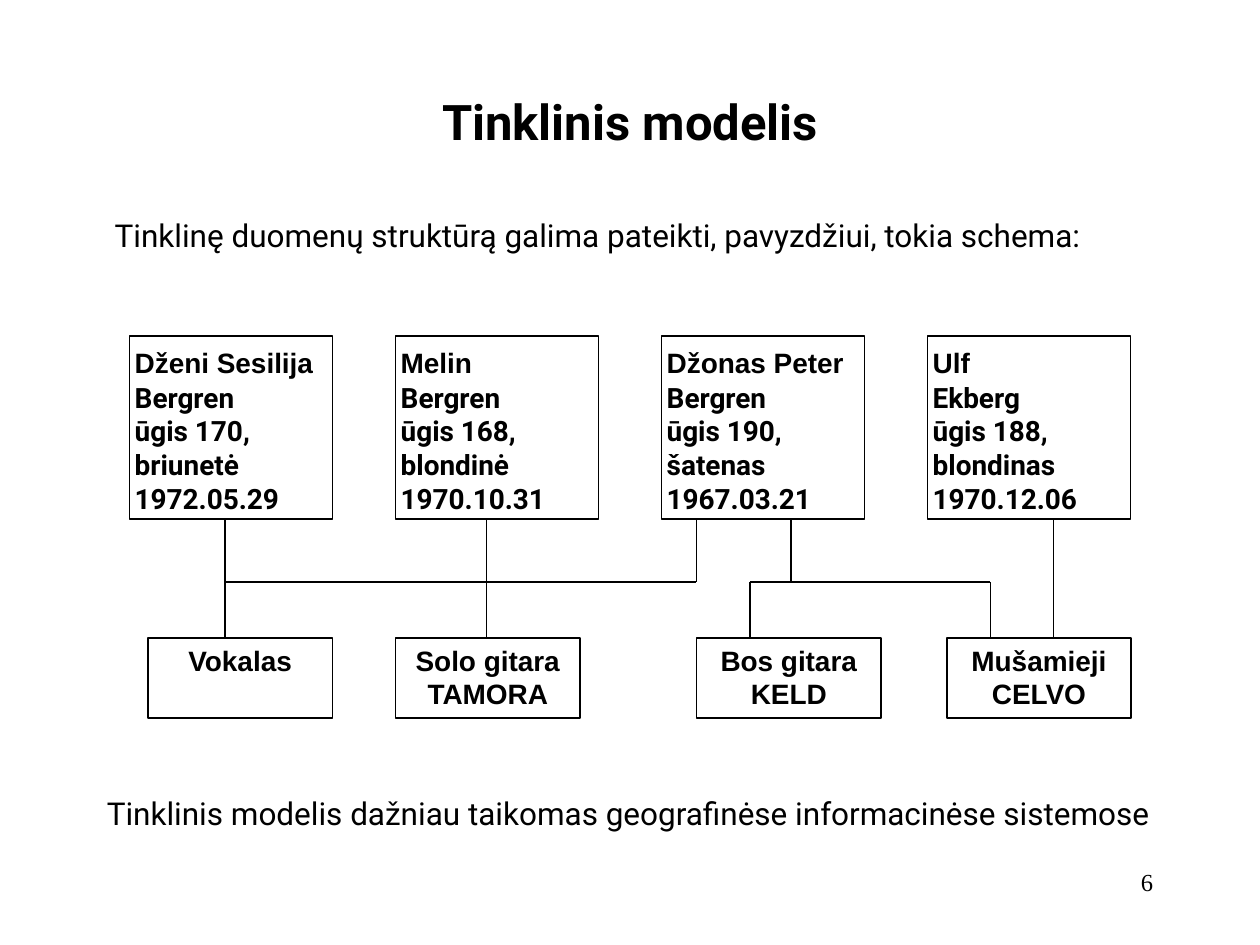
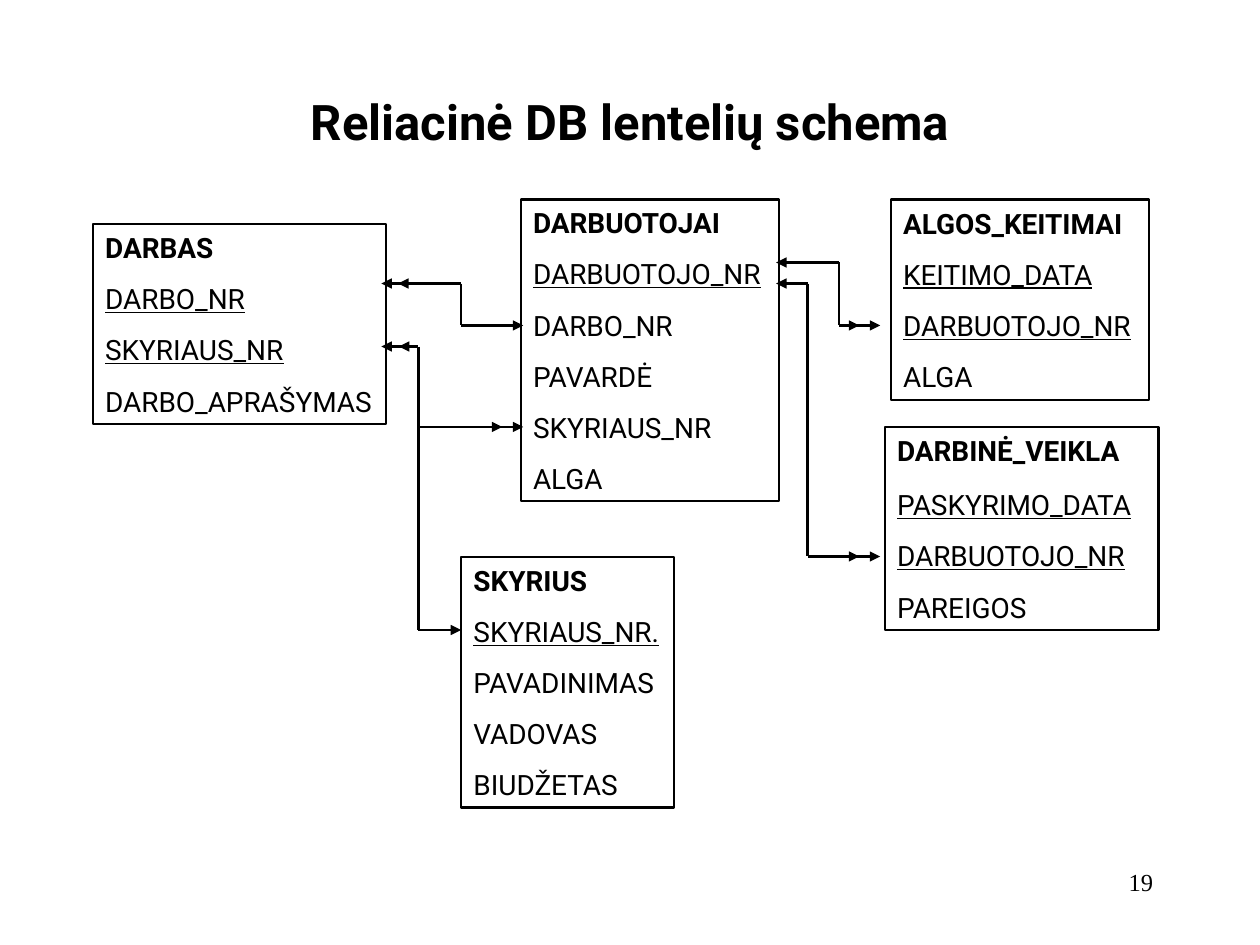
from itertools import pairwise

from lxml.etree import SubElement
from pptx import Presentation
from pptx.dml.color import RGBColor
from pptx.enum.shapes import MSO_CONNECTOR, MSO_SHAPE
from pptx.enum.text import MSO_ANCHOR, PP_ALIGN
from pptx.oxml.ns import qn
from pptx.util import Pt

INK = "000000"
FONT, LABEL_FONT, NUMBER_FONT = "Roboto", "Arial", "Times New Roman"
INSETS = (7.2, 3.6, 0, 3.6)

# Network model
INTRO = "Tinklinę duomenų struktūrą galima pateikti, pavyzdžiui, tokia schema:"
CLOSING = "Tinklinis modelis dažniau taikomas geografinėse informacinėse sistemose"
PEOPLE = [
    ["Dženi Sesilija", "Bergren", "ūgis 170,", "briunetė", "1972.05.29"],
    ["Melin", "Bergren", "ūgis 168,", "blondinė", "1970.10.31"],
    ["Džonas Peter", "Bergren", "ūgis 190,", "šatenas", "1967.03.21"],
    ["Ulf", "Ekberg", "ūgis 188,", "blondinas", "1970.12.06"],
]
ROLES = [
    (84.5, ["Vokalas"]),
    (226, ["Solo gitara", "TAMORA"]),
    (398, ["Bos gitara", "KELD"]),
    (541, ["Mušamieji", "CELVO"]),
]
PEOPLE_LEFT, PEOPLE_STEP = 74, 152
PEOPLE_TOP, PEOPLE_BOTTOM, BUS, ROLES_TOP = 192, 296.5, 332.5, 364.5
NETWORK = [
    [(128.5, PEOPLE_BOTTOM), (128.5, ROLES_TOP)],
    [(278, PEOPLE_BOTTOM), (278, ROLES_TOP)],
    [(128.5, BUS), (398, BUS), (398, PEOPLE_BOTTOM)],
    [(602, PEOPLE_BOTTOM), (602, ROLES_TOP)],
    [(428.5, ROLES_TOP), (428.5, BUS), (566, BUS), (566, ROLES_TOP)],
    [(452, PEOPLE_BOTTOM), (452, BUS)],
]

# Relational schema: box, name, key columns, other columns in display order
TABLES = [
    ((263.5, 318.5, 121.5, 143), "SKYRIUS", {"SKYRIAUS_NR."},
     ["SKYRIAUS_NR.", "PAVADINIMAS", "VADOVAS", "BIUDŽETAS"]),
    ((297.5, 114, 147.5, 172.5), "DARBUOTOJAI", {"DARBUOTOJO_NR"},
     ["DARBUOTOJO_NR", "DARBO_NR", "PAVARDĖ", "SKYRIAUS_NR", "ALGA"]),
    ((53, 128, 167.5, 114.5), "DARBAS", {"DARBO_NR", "SKYRIAUS_NR"},
     ["DARBO_NR", "SKYRIAUS_NR", "DARBO_APRAŠYMAS"]),
    ((505.5, 244, 156.5, 116), "DARBINĖ_VEIKLA",
     {"PASKYRIMO_DATA", "DARBUOTOJO_NR"},
     ["PASKYRIMO_DATA", "DARBUOTOJO_NR", "PAREIGOS"]),
    ((509, 114, 147.5, 114.5), "ALGOS_KEITIMAI",
     {"KEITIMO_DATA", "DARBUOTOJO_NR"},
     ["KEITIMO_DATA", "DARBUOTOJO_NR", "ALGA"]),
]
TWO_WAY = [
    [(218, 162), (263.5, 162), (263.5, 186), (299, 186)],
    [(218, 198), (239, 198), (239, 360), (263.5, 360)],
    [(443.5, 150), (479.5, 150), (479.5, 186), (503, 186)],
    [(443.5, 162), (461.5, 162), (461.5, 318), (503, 318)],
]
ONE_WAY = [
    [(239, 244), (299, 244)],
    # second arrowheads on the "many" ends
    [(239, 162), (227.5, 162)],
    [(239, 198), (228, 198)],
    [(275, 244), (287, 244)],
    [(479.5, 186), (491, 186)],
    [(479.5, 318), (491, 318)],
]


def rgb(value):
    return RGBColor.from_string(value)


def pts(values):
    return [Pt(v) for v in values]


def style(p, size, font=FONT, bold=False, align=PP_ALIGN.LEFT):
    p.alignment = align
    for r in p.runs:
        r.font.size, r.font.name, r.font.bold = Pt(size), font, bold
        r.font.color.rgb = rgb(INK)


def fill_frame(tf, lines, insets=INSETS, anchor=MSO_ANCHOR.TOP):
    """Put one paragraph per line into the frame and return the paragraphs."""
    tf.word_wrap = True
    tf.vertical_anchor = anchor
    tf.margin_left, tf.margin_top, tf.margin_right, tf.margin_bottom = pts(insets)
    tf.text = "\n".join(lines)
    return tf.paragraphs


def add_text(slide, box, text, size, anchor=MSO_ANCHOR.TOP, insets=INSETS, **look):
    sp = slide.shapes.add_textbox(*pts(box))
    style(fill_frame(sp.text_frame, [text], insets, anchor)[0], size, **look)


def add_box(slide, box, lines, width, **frame):
    sp = slide.shapes.add_shape(MSO_SHAPE.RECTANGLE, *pts(box))
    sp.shadow.inherit = False
    sp.fill.background()
    sp.line.color.rgb = rgb(INK)
    sp.line.width = Pt(width)
    return fill_frame(sp.text_frame, lines, **frame)


def add_route(slide, points, width, start=False, end=False):
    """Draw straight segments through the points, with arrowheads on request."""
    legs = list(pairwise(points))
    for i, (a, b) in enumerate(legs):
        line = slide.shapes.add_connector(MSO_CONNECTOR.STRAIGHT, *pts(a + b))
        line.line.color.rgb = rgb(INK)
        line.line.width = Pt(width)
        ln = line.line._get_or_add_ln()
        if start and i == 0:
            SubElement(ln, qn("a:headEnd"), type="triangle")
        if end and i == len(legs) - 1:
            SubElement(ln, qn("a:tailEnd"), type="triangle")
        SubElement(ln.getparent(), qn("a:effectLst"))


def new_slide(prs, title, title_box, number):
    slide = prs.slides.add_slide(prs.slide_layouts[5])
    sp = slide.shapes.title
    sp.left, sp.top, sp.width, sp.height = pts(title_box)
    p = fill_frame(sp.text_frame, [title], (7.2, 3.6, 7.2, 3.6), MSO_ANCHOR.MIDDLE)[0]
    style(p, 28, bold=True, align=PP_ALIGN.CENTER)
    add_text(slide, (516, 492, 150, 36), number, 14, insets=(7.2, 3.6, 7.2, 3.6),
             font=NUMBER_FONT, align=PP_ALIGN.RIGHT)
    return slide


def build_network(prs):
    slide = new_slide(prs, "Tinklinis modelis", (118, 48, 484, 42.5), "6")
    add_text(slide, (58.5, 120, 604, 29), INTRO, 18, MSO_ANCHOR.MIDDLE)
    for i, lines in enumerate(PEOPLE):
        box = (PEOPLE_LEFT + i * PEOPLE_STEP, PEOPLE_TOP, 116,
               PEOPLE_BOTTOM - PEOPLE_TOP)
        first, *rest = add_box(slide, box, lines, 1, insets=(3, 5.5, 3, 3))
        style(first, 16, LABEL_FONT, bold=True)
        first.space_after = Pt(0.7)
        for p in rest:
            style(p, 16, bold=True)
    for left, lines in ROLES:
        for p in add_box(slide, (left, ROLES_TOP, 105.5, 46), lines, 1,
                         insets=(3, 3, 3, 3)):
            style(p, 16, LABEL_FONT, bold=True, align=PP_ALIGN.CENTER)
    for points in NETWORK:
        add_route(slide, points, 1)
    add_text(slide, (54, 450, 612, 50), CLOSING, 18)


def build_schema(prs):
    slide = new_slide(prs, "Reliacinė DB lentelių schema", (119.5, 42, 481, 54.5), "19")
    for box, name, keys, columns in TABLES:
        head, *rows = add_box(slide, box, [name, *columns], 1.25,
                              anchor=MSO_ANCHOR.MIDDLE)
        style(head, 16, bold=True)
        for p in rows:
            style(p, 16)
            p.space_before = Pt(10)
            p.runs[0].font.underline = p.text in keys
        if name == "DARBINĖ_VEIKLA":
            rows[0].space_before = Pt(12)
    for points in TWO_WAY:
        add_route(slide, points, 1.5, start=True, end=True)
    for points in ONE_WAY:
        add_route(slide, points, 1.5, end=True)


def main():
    prs = Presentation()
    prs.slide_width, prs.slide_height = Pt(720), Pt(540)
    build_network(prs)
    build_schema(prs)
    prs.save("out.pptx")


if __name__ == "__main__":
    main()
